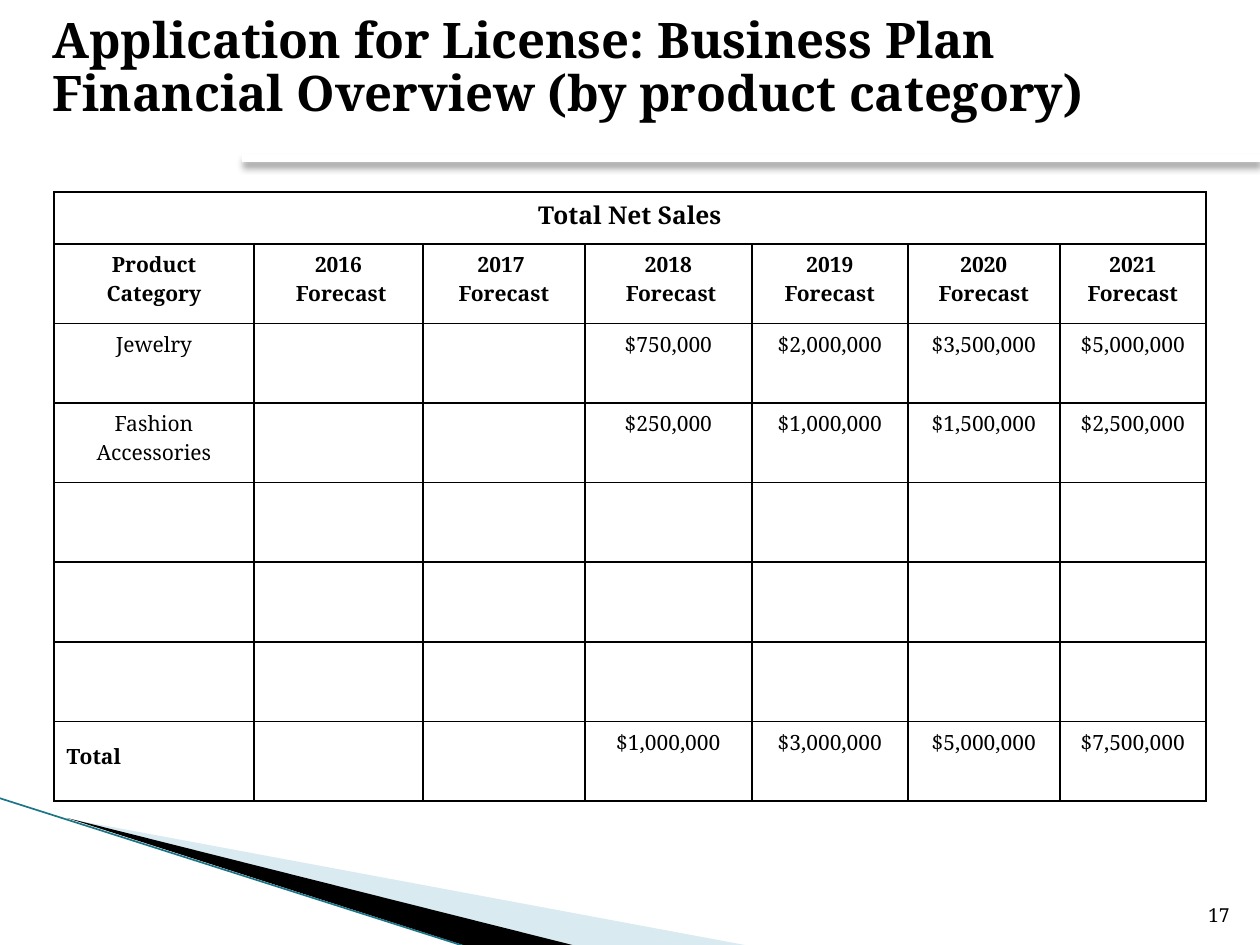
from lxml.etree import SubElement
from pptx import Presentation
from pptx.dml.color import RGBColor
from pptx.enum.shapes import MSO_CONNECTOR
from pptx.enum.text import MSO_ANCHOR, PP_ALIGN
from pptx.oxml import parse_xml
from pptx.oxml.ns import nsdecls, qn
from pptx.util import Emu, Pt

SCALE = 914400 / 126
FONT = "Noto Serif"
BLACK = RGBColor(0x00, 0x00, 0x00)
WHITE = RGBColor(0xFF, 0xFF, 0xFF)
PALE = RGBColor(0xA0, 0xCB, 0xDC)
TEAL = RGBColor(0x1B, 0x75, 0x87)

HEADS = ["Product Category", "2016\n Forecast", "2017 \nForecast", "2018\n Forecast",
         "2019 Forecast", "2020 Forecast", "2021 Forecast"]
BLANK = [""] * 7
ROWS = [
    ["Total Net Sales"] + [""] * 6,
    HEADS,
    ["Jewelry", "", "", "$750,000", "$2,000,000", "$3,500,000", "$5,000,000"],
    ["Fashion Accessories", "", "", "$250,000", "$1,000,000", "$1,500,000", "$2,500,000"],
    BLANK, BLANK, BLANK,
    ["Total", "", "", "$1,000,000", "$3,000,000", "$5,000,000", "$7,500,000"],
]
WIDTHS = [200, 169, 162, 167, 156, 152, 146]
TOP_ROW, HEIGHT = 52, 609


def px(n):
    return Emu(round(n * SCALE))


def style(frame, size, bold=False, **form):
    """Format every paragraph of a text frame."""
    look = {"name": FONT, "size": Pt(size), "bold": bold}
    for para in frame.paragraphs:
        for key, val in form.items():
            setattr(para, key, val)
        for key, val in look.items():
            setattr(para.font, key, val)
        para.font.color.rgb = BLACK


def add_text(slide, box, text, size, anchor=MSO_ANCHOR.TOP, **form):
    frame = slide.shapes.add_textbox(*map(px, box)).text_frame
    frame.word_wrap = True
    frame.vertical_anchor = anchor
    frame.text = text
    style(frame, size, **form)


def add_wedge(slide, points, color, alpha=100):
    draft = slide.shapes.build_freeform(*points[0], scale=SCALE)
    draft.add_line_segments(points[1:], close=True)
    shape = draft.convert_to_shape()
    shape.shadow.inherit = False
    shape.line.fill.background()
    shape.fill.solid()
    shape.fill.fore_color.rgb = color
    if alpha < 100:
        tone = shape.fill._xPr.find(qn("a:solidFill"))[0]
        SubElement(tone, qn("a:alpha"), val=str(alpha * 1000))


def add_line(slide, ends, color, width, effect=""):
    line = slide.shapes.add_connector(MSO_CONNECTOR.STRAIGHT, *map(px, ends))
    line.line.color.rgb = color
    line.line.width = Pt(width)
    line._element.spPr.append(
        parse_xml(f'<a:effectLst {nsdecls("a")}>{effect}</a:effectLst>'))


def drop_shade(blur, dist, alpha):
    return (f'<a:outerShdw blurRad="{Pt(blur)}" dist="{Pt(dist)}" dir="5400000" '
            f'algn="t" rotWithShape="0"><a:srgbClr val="{BLACK}">'
            f'<a:alpha val="{alpha * 1000}"/></a:srgbClr></a:outerShdw>')


def set_cell(cell):
    """White fill and black borders on all four sides."""
    cell.fill.solid()
    cell.fill.fore_color.rgb = WHITE
    props = cell._tc.get_or_add_tcPr()
    for spot, side in enumerate(("lnL", "lnR", "lnT", "lnB")):
        props.insert(spot, parse_xml(
            f'<a:{side} {nsdecls("a")} w="{Pt(1)}"><a:solidFill>'
            f'<a:srgbClr val="{BLACK}"/></a:solidFill></a:{side}>'))


def add_grid(slide, left, top):
    box = map(px, (left, top, sum(WIDTHS), HEIGHT))
    table = slide.shapes.add_table(len(ROWS), len(WIDTHS), *box).table
    table.first_row = table.horz_banding = False
    for col, width in zip(table.columns, WIDTHS):
        col.width = px(width)
    for row in table.rows:
        row.height = px((HEIGHT - TOP_ROW) / (len(ROWS) - 1))
    table.rows[0].height = px(TOP_ROW)
    for r, row in enumerate(ROWS):
        for c, text in enumerate(row):
            cell = table.cell(r, c)
            set_cell(cell)
            cell.text_frame.text = text
            if text == "Total":
                form = {"bold": True, "line_spacing": 1.5}
            else:
                form = {"bold": r < 2, "alignment": PP_ALIGN.CENTER}
            style(cell.text_frame, 14 if r == 0 else 12, **form)
    table.cell(0, 0).merge(table.cell(0, len(WIDTHS) - 1))


def main():
    deck = Presentation()
    deck.slide_width, deck.slide_height = px(1260), px(945)
    slide = deck.slides.add_slide(deck.slide_layouts[6])

    # Corner wedges
    add_wedge(slide, [(69, 819), (750, 946), (575, 946)], PALE, 40)
    add_wedge(slide, [(67, 818), (576, 946), (469, 947)], BLACK)
    add_line(slide, (-1, 798, 467, 947), TEAL, 0.95)

    # Title and its shaded rule
    add_text(slide, (40, 10, 1168, 131),
             "Application for License: Business Plan Financial Overview "
             "(by product category)", 28, bold=True, line_spacing=0.9)
    add_line(slide, (242, 158, 1260, 158), WHITE, 4.33, drop_shade(4, 3, 35))

    # Page number
    add_text(slide, (1192, 883, 50, 50), "17", 11, MSO_ANCHOR.BOTTOM,
             alignment=PP_ALIGN.RIGHT)

    # Sales table
    add_grid(slide, 54, 192)
    deck.save("out.pptx")


if __name__ == "__main__":
    main()
